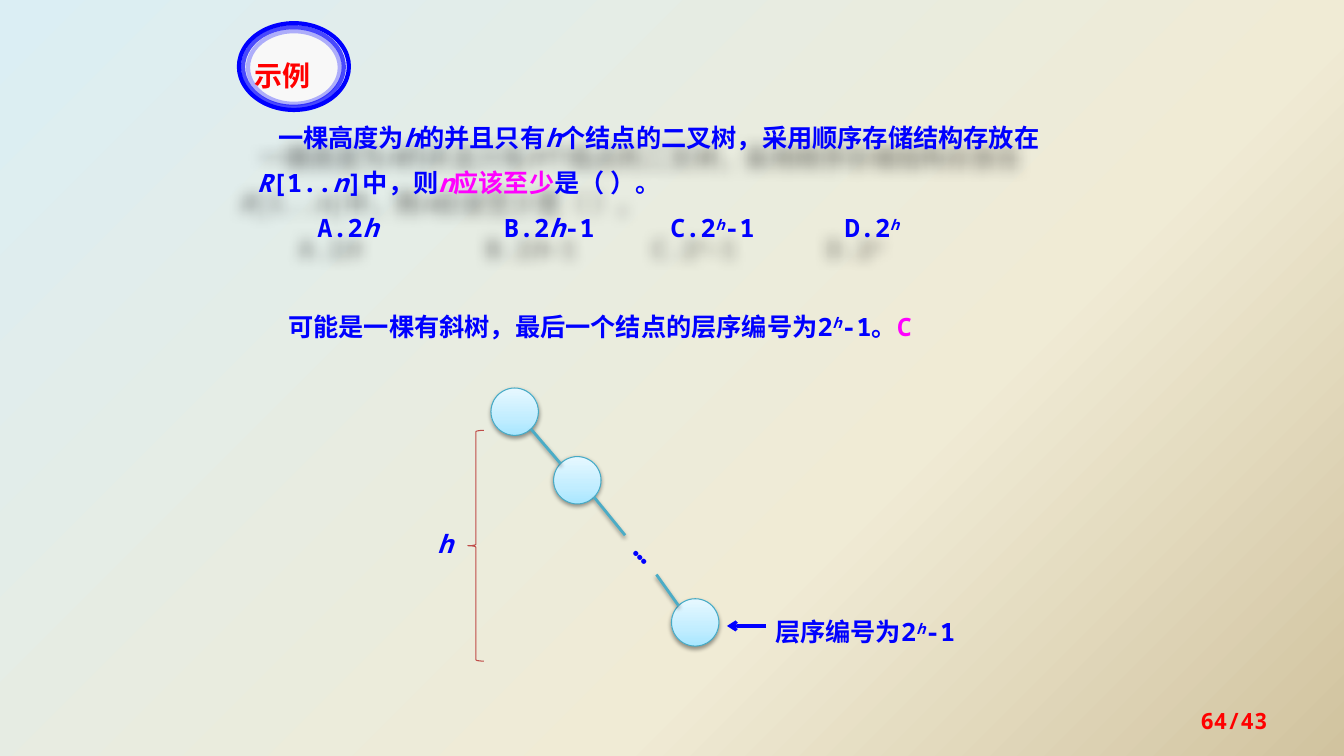
from lxml import etree
from pptx import Presentation
from pptx.dml.color import RGBColor
from pptx.enum.shapes import MSO_CONNECTOR, MSO_SHAPE
from pptx.enum.text import MSO_ANCHOR, MSO_AUTO_SIZE, PP_ALIGN
from pptx.oxml.ns import qn
from pptx.util import Inches, Pt

ELLIPSE = MSO_SHAPE.OVAL
BRACE = MSO_SHAPE.LEFT_BRACE
STRAIGHT = MSO_CONNECTOR.STRAIGHT
GROW = MSO_AUTO_SIZE.SHAPE_TO_FIT_TEXT
FIXED = MSO_AUTO_SIZE.NONE
MIDDLE = MSO_ANCHOR.MIDDLE
LEFT, RIGHT = PP_ALIGN.LEFT, PP_ALIGN.RIGHT

WIDTH, HEIGHT = Inches(13.33), Inches(7.5)
MONO, SANS = "Noto Sans Mono", "Noto Sans CJK JP"
BLUE = RGBColor(0x00, 0x00, 0xFF)
MAGENTA = RGBColor(0xFF, 0x00, 0xFF)
RED = RGBColor(0xFF, 0x00, 0x00)
PALE = RGBColor(0xF8, 0xF8, 0xF8)
NODE_LINE = RGBColor(0x46, 0xAA, 0xC5)
EDGE_LINE = RGBColor(0x4B, 0xAC, 0xC6)
BRACE_LINE = RGBColor(0xBF, 0x4C, 0x48)
SHADE = RGBColor(0x00, 0x00, 0x00)
BACKDROP = [(0, RGBColor(0xDB, 0xEE, 0xF4)), (65, RGBColor(0xF0, 0xEB, 0xD5)),
            (100, RGBColor(0xD1, 0xC3, 0x9F))]
NODE_FILL = [(0, RGBColor(0xA7, 0xE6, 0xFF)), (35, RGBColor(0xC1, 0xED, 0xFF)),
             (100, RGBColor(0xE7, 0xF8, 0xFF))]

NODE_SHADOW = (3.1, 1.6, 90, 38)
TEXT_SHADOW = (10, 20, 135, 40)
NODE_SIZE = (3.53, 6.27)
NODES = [(36.53, 51.33), (41.19, 60.4), (49.96, 79.2)]
EDGES = [((39.53, 56.8), (41.71, 61.33)), ((44.19, 65.73), (46.51, 70.8)),
         ((48.84, 76), (50.49, 80.13))]
BADGE_RINGS = [((17.78, 3.07, 8.18, 11.47), PALE, 100),
               ((18.08, 3.6, 7.5, 10.53), None, 70),
               ((18.45, 4.13, 6.83, 9.6), None, 30)]
OPTION_TABS = [0.6, 2.45, 4.1, 5.83]

QUESTION = [("一棵高度为", ""), ("h", "i"), ("的并且只有", ""), ("h", "i"),
            ("个结点的二叉树，采用顺序存储结构存放在", ""), ("R", "i"), ("[1..", ""),
            ("n", "i"), ("]中，则", ""), ("n", "im"), ("应该至少", "m"), ("是（ ）。", "")]
OPTIONS = [("\tA.2", ""), ("h", "i"), ("\tB.2", ""), ("h", "i"), ("-1\tC.2", ""),
           ("h", "i^"), ("-1\tD.2", ""), ("h", "i^")]
ANSWER = [("可能是一棵有斜树，最后一个结点的层序编号为2", ""), ("h", "i^"),
          ("-1。", ""), ("C", "m")]
LAST_NUMBER = [("层序编号为2", ""), ("h", "i^"), ("-1", "")]


def place(left, top, *size):
    shares = (left, top, *size)
    return [round(share * (HEIGHT if index % 2 else WIDTH) / 100)
            for index, share in enumerate(shares)]


def add_color(parent, color, alpha=100):
    node = etree.SubElement(parent, qn("a:srgbClr"), val=str(color))
    if alpha < 100:
        etree.SubElement(node, qn("a:alpha"), val=str(alpha * 1000))


def set_gradient(owner, fill, stops, angle):
    fill.gradient()
    gradient = owner.element.find(".//" + qn("a:gradFill"))
    for child in list(gradient):
        gradient.remove(child)
    stop_list = etree.SubElement(gradient, qn("a:gsLst"))
    for position, color in stops:
        add_color(etree.SubElement(stop_list, qn("a:gs"), pos=str(position * 1000)), color)
    etree.SubElement(gradient, qn("a:lin"), ang=str(angle * 60000), scaled="0")


def set_effects(shape, shadow=None):
    effects = etree.SubElement(shape.element.spPr, qn("a:effectLst"))
    if shadow:
        blur, distance, angle, alpha = shadow
        outer = etree.SubElement(effects, qn("a:outerShdw"), blurRad=str(Pt(blur)),
                                 dist=str(Pt(distance)), dir=str(angle * 60000),
                                 rotWithShape="0")
        add_color(outer, SHADE, alpha)


def set_line(shape, color, width):
    shape.line.color.rgb = color
    shape.line.width = Pt(width)


def add_outline(page, kind, area, color, width, fill=None, shadow=None, alpha=100):
    shape = page.shapes.add_shape(kind, *place(*area))
    set_line(shape, color, width)
    if alpha < 100:
        solid = shape.line._ln.find(qn("a:solidFill"))
        solid.remove(solid[0])
        add_color(solid, color, alpha)
    if isinstance(fill, list):
        set_gradient(shape, shape.fill, fill, 270)
    elif fill:
        shape.fill.solid()
        shape.fill.fore_color.rgb = fill
    else:
        shape.fill.background()
    set_effects(shape, shadow)


def add_link(page, start, end, color, width, shadow=None, arrow=False):
    link = page.shapes.add_connector(STRAIGHT, *place(*start, *end))
    set_line(link, color, width)
    if arrow:
        etree.SubElement(link.line._ln, qn("a:tailEnd"), type="arrow")
    set_effects(link, shadow)


def add_spans(para, spans, size, font, color):
    for text, style in spans:
        span = para.add_run()
        span.text = text
        span.font.size = Pt(size)
        span.font.bold = True
        span.font.italic = "i" in style
        span.font.name = font
        span.font.color.rgb = MAGENTA if "m" in style else color
        properties = span.font._element
        etree.SubElement(properties, qn("a:ea"), typeface=SANS)
        if "^" in style:
            properties.set("baseline", "30000")


def add_text(page, area, paragraphs, spacing, size=18, font=MONO, color=BLUE,
             fit=GROW, align=LEFT):
    box = page.shapes.add_textbox(*place(*area))
    frame = box.text_frame
    frame.word_wrap = True
    frame.auto_size = fit
    for index, spans in enumerate(paragraphs):
        para = frame.add_paragraph() if index else frame.paragraphs[0]
        para.line_spacing = spacing
        para.alignment = align
        add_spans(para, spans, size, font, color)
    return box


def add_question(page):
    box = add_text(page, (18.38, 13.47, 66.84, 19.47), [QUESTION, OPTIONS], 1.5)
    set_effects(box, TEXT_SHADOW)
    stem, options = [para._p.get_or_add_pPr() for para in box.text_frame.paragraphs]
    stem.set("indent", str(Inches(0.21)))
    tabs = etree.SubElement(options, qn("a:tabLst"))
    for position in OPTION_TABS:
        etree.SubElement(tabs, qn("a:tab"), pos=str(Inches(position)), algn="l")


def add_tree(page):
    for corner in NODES:
        add_outline(page, ELLIPSE, corner + NODE_SIZE, NODE_LINE, 0.75, NODE_FILL, NODE_SHADOW)
    for start, end in EDGES:
        add_link(page, start, end, EDGE_LINE, 2, NODE_SHADOW)
    dots = add_text(page, (46.36, 71.6, 4.13, 5.07), [[("…", "")]], Pt(20), size=20)
    dots.rotation = 45
    add_link(page, (57.01, 82.8), (54.09, 82.8), BLUE, 2.25, arrow=True)
    add_text(page, (56.94, 79.33, 17.03, 6.93), [LAST_NUMBER], Pt(30))
    add_outline(page, BRACE, (34.81, 56.93, 1.2, 30.53), BRACE_LINE, 0.75)
    add_text(page, (31.81, 69.47, 4.13, 5.07), [[("h", "i")]], Pt(20))


def add_badge(page):
    for area, fill, alpha in BADGE_RINGS:
        add_outline(page, ELLIPSE, area, BLUE, 3, fill, alpha=alpha)
    add_text(page, (18.23, 6.67, 7.2, 6.27), [[("示例", "")]], 1.1, 20, SANS, RED)


def main():
    deck = Presentation()
    deck.slide_width, deck.slide_height = WIDTH, HEIGHT
    page = deck.slides.add_slide(deck.slide_layouts[6])
    set_gradient(page, page.background.fill, BACKDROP, 45)
    add_question(page)
    add_text(page, (20.71, 38.93, 52.14, 6.93), [ANSWER], Pt(30))
    add_tree(page)
    add_badge(page)
    number = add_text(page, (71.72, 92.67, 23.33, 5.33), [[("64/43", "")]], 1.0, 16,
                      color=RED, fit=FIXED, align=RIGHT)
    number.text_frame.vertical_anchor = MIDDLE
    deck.save("out.pptx")


if __name__ == "__main__":
    main()
